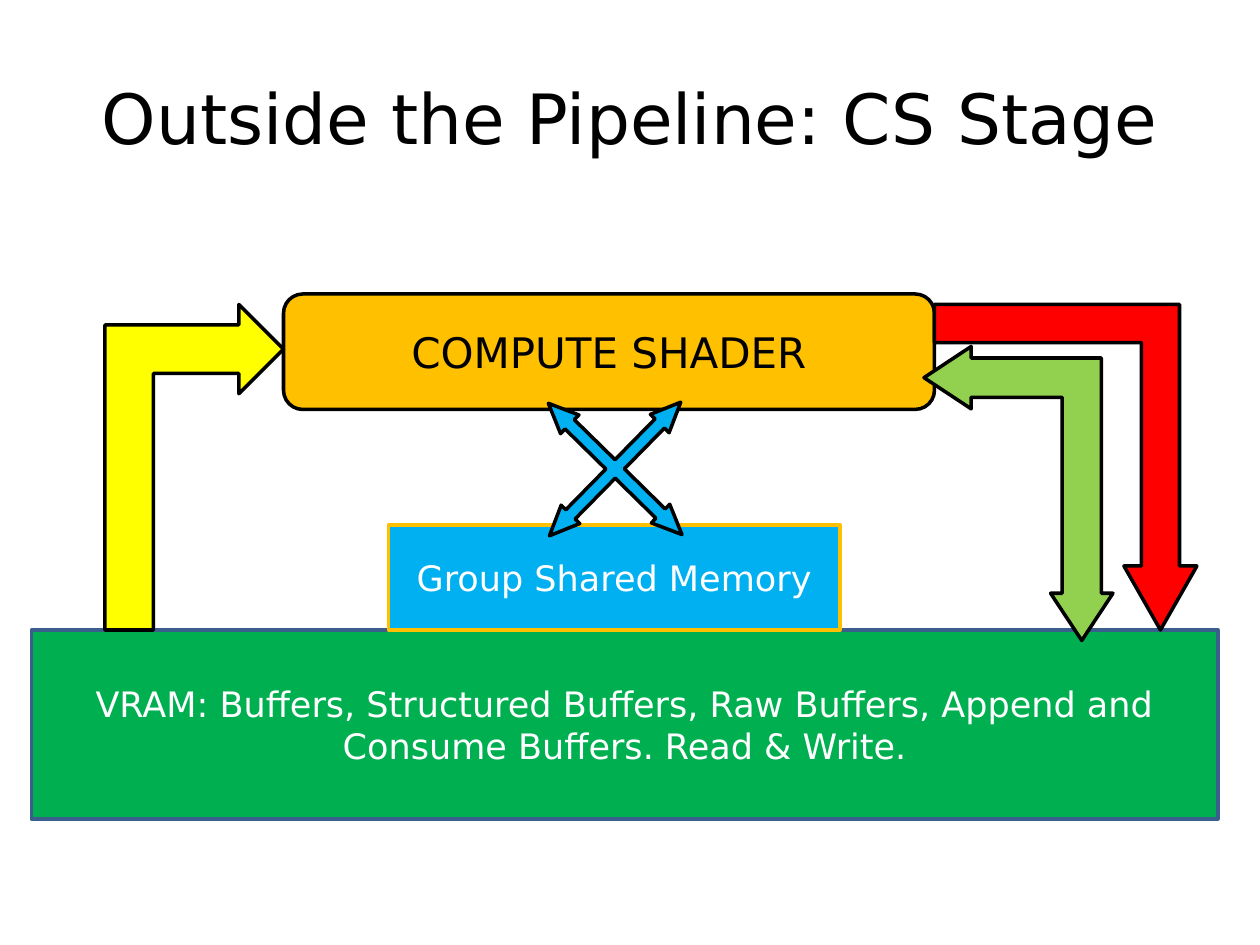
import pptx
import pptx.dml.color
import pptx.enum.shapes
import pptx.enum.text
import pptx.util

COLORS = {
    "black": "000000",
    "white": "FFFFFF",
    "green": "00B050",
    "blue": "00B0F0",
    "orange": "FFC000",
    "yellow": "FFFF00",
    "red": "FF0000",
    "lime": "92D050",
    "navy": "3A5F8C",
}
KINDS = pptx.enum.shapes.MSO_SHAPE


def color(name):
    return pptx.dml.color.RGBColor.from_string(COLORS[name])


def write_text(shape, text, size=20, color_name="white", font="DejaVu Sans"):
    """Put one centred paragraph in the middle of a shape."""
    frame = shape.text_frame
    frame.word_wrap = True
    frame.vertical_anchor = pptx.enum.text.MSO_ANCHOR.MIDDLE
    paragraph = frame.paragraphs[0]
    paragraph.alignment = pptx.enum.text.PP_ALIGN.CENTER
    run = paragraph.add_run()
    run.text = text
    run.font.name = font
    run.font.size = pptx.util.Pt(size)
    run.font.color.rgb = color(color_name)


class DiagramSlide:
    """Holds the diagram style and the slide it is drawn on."""

    line_width = 2

    def __init__(self, presentation):
        self.slide = presentation.slides.add_slide(presentation.slide_layouts[6])

    def title(self, text, left, top, width, height):
        box = self.slide.shapes.add_textbox(
            *map(pptx.util.Pt, (left, top, width, height)))
        write_text(box, text, size=39.6, color_name="black")

    def block(self, kind, bounds, fill, line="black"):
        shape = self.slide.shapes.add_shape(kind, *map(pptx.util.Pt, bounds))
        shape.shadow.inherit = False
        shape.fill.solid()
        shape.fill.fore_color.rgb = color(fill)
        shape.line.color.rgb = color(line)
        shape.line.width = pptx.util.Pt(self.line_width)
        return shape

    def arrow(self, kind, bounds, fill, adjustments, rotation=0, flip=None):
        shape = self.block(kind, bounds, fill)
        for index, value in enumerate(adjustments):
            shape.adjustments[index] = value
        shape.rotation = rotation
        if flip:
            shape._element.spPr.xfrm.set(flip, "1")


def main():
    presentation = pptx.Presentation()
    presentation.slide_width = pptx.util.Pt(720)
    presentation.slide_height = pptx.util.Pt(540)
    diagram = DiagramSlide(presentation)

    diagram.title("Outside the Pipeline: CS Stage", 36, 21.6, 648, 90)

    # Memory and shader blocks
    video_memory = diagram.block(KINDS.RECTANGLE, (18, 360, 678, 108), "green", "navy")
    write_text(video_memory, "VRAM: Buffers, Structured Buffers, Raw Buffers, "
                             "Append and Consume Buffers. Read & Write.")
    shared_memory = diagram.block(KINDS.RECTANGLE, (222, 300, 258, 60), "blue", "orange")
    write_text(shared_memory, "Group Shared Memory")
    shader = diagram.block(KINDS.ROUNDED_RECTANGLE, (162, 168, 372, 66), "orange")
    write_text(shader, "COMPUTE SHADER", size=24, color_name="black")

    # Input, output and two-way arrows between shader and video memory
    diagram.arrow(KINDS.BENT_UP_ARROW, (18, 216, 186, 102), "yellow",
                  (0.272, 0.25, 0.25), rotation=90, flip="flipH")
    diagram.arrow(KINDS.BENT_UP_ARROW, (534, 174, 150, 186), "red",
                  (0.145, 0.139, 0.244), rotation=180, flip="flipH")
    diagram.arrow(KINDS.LEFT_UP_ARROW, (528, 198, 108, 168), "lime",
                  (0.208, 0.165, 0.25), flip="flipV")

    # Crossed arrows between shader and shared memory
    diagram.arrow(KINDS.QUAD_ARROW, (298, 214.5, 107, 107), "blue",
                  (0.07, 0.07, 0.16), rotation=44.5)

    presentation.save("out.pptx")


if __name__ == "__main__":
    main()
